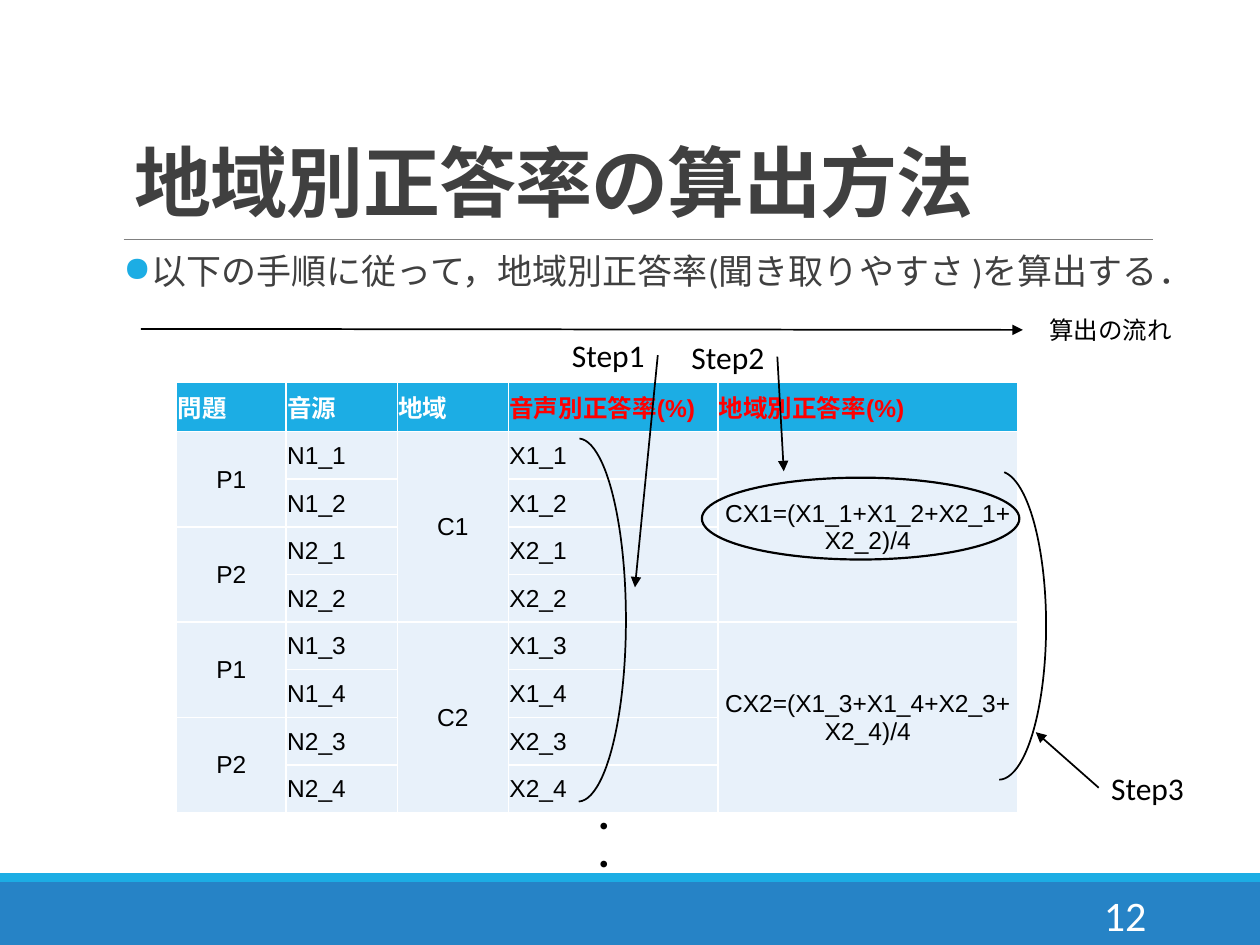
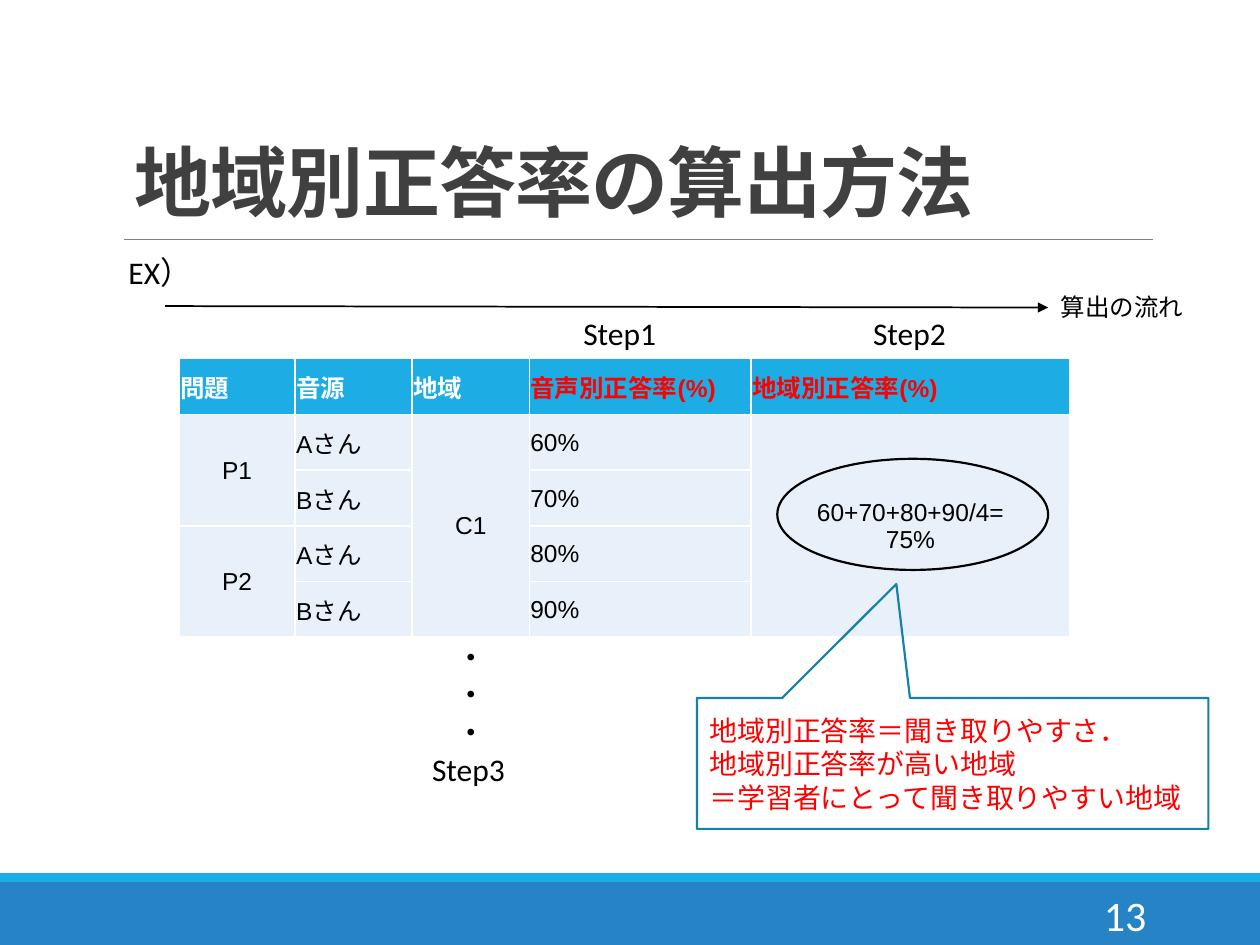
from itertools import product

from lxml import etree
from pptx import Presentation
from pptx import util as u
from pptx.dml import color
from pptx.enum import shapes, text
from pptx.oxml import ns

BLACK, WHITE, RED = "000000", "FFFFFF", "FF0000"
GREY, RULE = "404040", "808080"
BLUE, CYAN, PALE, TEAL = "2683C6", "1CADE4", "E8F1FA", "1580A9"
LEFT, CENTER, RIGHT = text.PP_ALIGN.LEFT, text.PP_ALIGN.CENTER, text.PP_ALIGN.RIGHT
MIDDLE = text.MSO_ANCHOR.MIDDLE
SHAPE = shapes.MSO_SHAPE
SIDE_LEFT, SIDE_RIGHT = 1, 3
HEADS = ("問題", "音源", "地域", "音声別正答率(%)", "地域別正答率(%)")
SPANS = {0: 2, 2: 4, 4: 4}


def rgb(value):
    return color.RGBColor.from_string(value)


def cm(values):
    return [u.Cm(v) for v in values]


def add_xml(parent, tag, **attrs):
    return etree.SubElement(parent, ns.qn(tag), attrs)


class Deck:
    font = "Calibri"

    def __init__(self):
        self.prs = Presentation()
        self.prs.slide_width, self.prs.slide_height = cm((25.4, 19.05))
        self.s = None

    def slide(self, title, number):
        self.s = self.prs.slides.add_slide(self.prs.slide_layouts[5])
        for at, fill in (((0, 17.78, 25.4, 1.27), BLUE), ((0, 17.6, 25.4, 0.18), CYAN)):
            self.shape(SHAPE.RECTANGLE, at, fill=fill)
        self.line((2.49, 4.83), (23.24, 4.83), RULE, 0.5, arrow=False)
        sp = self.s.shapes.title
        sp.left, sp.top, sp.width, sp.height = cm((2.46, 2.29, 23.8, 2.41))
        tf = sp.text_frame
        tf.auto_size = text.MSO_AUTO_SIZE.NONE
        tf.vertical_anchor = text.MSO_ANCHOR.BOTTOM
        self.add_lines(tf, [title], 44, GREY, bold=True)
        p = tf.paragraphs[0]
        p.line_spacing = 0.85
        p.runs[0]._r.get_or_add_rPr().set("spc", "-50")
        self.text((20.62, 17.93, 2.74, 1.02), [str(number)], 24, WHITE, RIGHT, MIDDLE)

    def add_lines(self, tf, lines, size, ink, align=LEFT, bold=False, font=None):
        for i, line in enumerate(lines):
            p = tf.add_paragraph() if i else tf.paragraphs[0]
            p.alignment = align
            r = p.add_run()
            r.text = line
            r.font.name = font or self.font
            r.font.size = u.Pt(size)
            r.font.bold = bold
            r.font.color.rgb = rgb(ink)

    def text(self, at, lines, size, ink=BLACK, align=LEFT, anchor=text.MSO_ANCHOR.TOP):
        sp = self.s.shapes.add_textbox(*cm(at))
        tf = sp.text_frame
        tf.word_wrap = True
        tf.vertical_anchor = anchor
        self.add_lines(tf, lines, size, ink, align)
        return sp

    def label(self, x, y, caption, size=18, width=1.98, height=1.02):
        sp = self.text((x, y, width, height), [caption], size)
        sp.text_frame.word_wrap = False
        return sp

    def flow_label(self, x, y):
        return self.label(x, y, "算出の流れ", 14, 3.23, 0.86)

    def dots(self, x, y, count):
        self.text((x, y, 1.02, 0.35 + 0.74 * count), ["・"] * count, 18)

    def bullet(self, at, line):
        tf = self.text(at, [line], 20, GREY).text_frame
        tf.margin_left = tf.margin_right = 0
        p = tf.paragraphs[0]
        p.line_spacing = 0.9
        p.space_after = u.Pt(2)
        pPr = p._p.get_or_add_pPr()
        pPr.set("marL", str(int(u.Cm(0.25))))
        pPr.set("indent", str(-int(u.Cm(0.25))))
        add_xml(add_xml(pPr, "a:buClr"), "a:srgbClr", val=CYAN)
        add_xml(pPr, "a:buChar", char="●")

    def shape(self, kind, at, fill=None, line=None, width=1.25, adjust=()):
        sp = self.s.shapes.add_shape(kind, *cm(at))
        sp.shadow.inherit = False
        if fill:
            sp.fill.solid()
            sp.fill.fore_color.rgb = rgb(fill)
        else:
            sp.fill.background()
        if line:
            sp.line.color.rgb = rgb(line)
            sp.line.width = u.Pt(width)
        else:
            sp.line.fill.background()
        for i, value in enumerate(adjust):
            sp.adjustments[i] = value
        return sp

    def ellipse(self, *at):
        self.shape(SHAPE.OVAL, at, line=BLACK)

    def arc(self, at, start):
        self.shape(SHAPE.ARC, at, line=BLACK, width=1, adjust=(start, 53.88))

    def callout(self, at, lines, adjust):
        sp = self.shape(SHAPE.RECTANGULAR_CALLOUT, at, line=TEAL, adjust=adjust)
        tf = sp.text_frame
        tf.word_wrap = True
        tf.vertical_anchor = MIDDLE
        self.add_lines(tf, lines, 16, RED)

    def line(self, start, end, ink=BLACK, width=1, arrow=True, source=None, target=None):
        cx = self.s.shapes.add_connector(shapes.MSO_CONNECTOR.STRAIGHT, *cm(start + end))
        cx.line.color.rgb = rgb(ink)
        cx.line.width = u.Pt(width)
        if arrow:
            add_xml(cx.line._get_or_add_ln(), "a:tailEnd", type="triangle")
        add_xml(cx._element.spPr, "a:effectLst")
        if source:
            cx.begin_connect(*source)
        if target:
            cx.end_connect(*target)

    def cell(self, c, fill):
        c.vertical_anchor = MIDDLE
        c.margin_left = c.margin_right = c.margin_top = u.Cm(0.02)
        c.margin_bottom = 0
        tcPr = c._tc.get_or_add_tcPr()
        for side in "LRTB":
            ln = add_xml(tcPr, f"a:ln{side}", w=str(int(u.Pt(1))))
            add_xml(add_xml(ln, "a:solidFill"), "a:srgbClr", val=WHITE)
        c.fill.solid()
        c.fill.fore_color.rgb = rgb(fill)

    def table(self, x, y, widths, head_height, row_height, rows):
        heights = [head_height] + [row_height] * len(rows)
        frame = self.s.shapes.add_table(
            len(heights), len(widths), *cm((x, y, sum(widths), sum(heights))))
        tbl = frame.table
        tbl.horz_banding = False
        for col, width in zip(tbl.columns, cm(widths)):
            col.width = width
        for row, height in zip(tbl.rows, cm(heights)):
            row.height = height
        for j, head in enumerate(HEADS):
            c = tbl.cell(0, j)
            self.cell(c, CYAN)
            ink = RED if j > 2 else WHITE
            self.add_lines(c.text_frame, [head], 14, ink, bold=True, font="Arial")
        for (i, row), j in product(enumerate(rows), range(len(HEADS))):
            c = tbl.cell(i + 1, j)
            self.cell(c, PALE)
            span = SPANS.get(j, 1)
            if i % span:
                continue
            if span > 1:
                c.merge(tbl.cell(i + span, j))
            align = CENTER if span > 1 else LEFT
            self.add_lines(c.text_frame, row[j].split("\n"), 14, BLACK, align, font="Arial")


def method_rows():
    rows = []
    for region in (1, 2):
        sounds = [f"{p}_{n}" for p, n in product((1, 2), (2 * region - 1, 2 * region))]
        formula = f"CX{region}=({'+'.join('X' + k for k in sounds)})/4"
        rows += [(f"P{k[0]}", f"N{k}", f"C{region}", f"X{k}", formula) for k in sounds]
    return rows


def example_rows():
    sources = product(("P1", "P2"), ("Aさん", "Bさん"))
    return [(problem, speaker, "C1", f"{rate}%", "60+70+80+90/4=\n75%")
            for (problem, speaker), rate in zip(sources, (60, 70, 80, 90))]


def method_slide(d):
    d.slide("地域別正答率の算出方法", 12)
    d.table(3.56, 7.7, (2.21, 2.24, 2.24, 4.22, 6.05), 1, 0.96, method_rows())
    d.dots(11.61, 16.15, 2)
    step1 = d.label(11.28, 6.65, "Step1")
    step2 = d.label(13.69, 6.68, "Step2")
    step3 = d.label(22.15, 15.37, "Step3")
    d.line((2.84, 6.63), (20.62, 6.65))
    d.flow_label(20.9, 6.22)
    d.arc((10.69, 8.84, 1.93, 7.32), 162.26)
    d.line((13.26, 7.16), (12.8, 11.84), source=(step1, SIDE_RIGHT))
    d.ellipse(14.15, 9.63, 6.4, 1.65)
    d.line((15.67, 7.19), (15.8, 9.5), source=(step2, SIDE_RIGHT))
    d.arc((19.18, 9.5, 1.91, 6.22), 163.22)
    d.line((22.15, 15.88), (20.88, 14.76), source=(step3, SIDE_LEFT))
    d.bullet((2.49, 5, 22.4, 6.2),
             "以下の手順に従って，地域別正答率(聞き取りやすさ )を算出する．")


def example_slide(d):
    d.slide("地域別正答率の算出方法", 13)
    d.table(3.61, 7.22, (2.34, 2.36, 2.36, 4.47, 6.43), 1.14, 1.12, example_rows())
    d.dots(8.94, 12.73, 3)
    d.label(11.51, 6.2, "Step1")
    flow = d.flow_label(21.13, 5.77)
    d.line((3.33, 6.17), (21.13, 6.2), target=(flow, SIDE_LEFT))
    d.label(17.35, 6.2, "Step2")
    d.label(8.46, 14.99, "Step3")
    d.ellipse(15.67, 9.25, 5.46, 2.24)
    d.callout((14.05, 14.07, 10.31, 2.64),
              ["地域別正答率＝聞き取りやすさ．", "地域別正答率が高い地域",
               "＝学習者にとって聞き取りやすい地域"], (-0.11, -1.37))
    d.label(2.34, 4.98, "EX）")


def main():
    d = Deck()
    method_slide(d)
    example_slide(d)
    d.prs.save("out.pptx")


if __name__ == "__main__":
    main()
